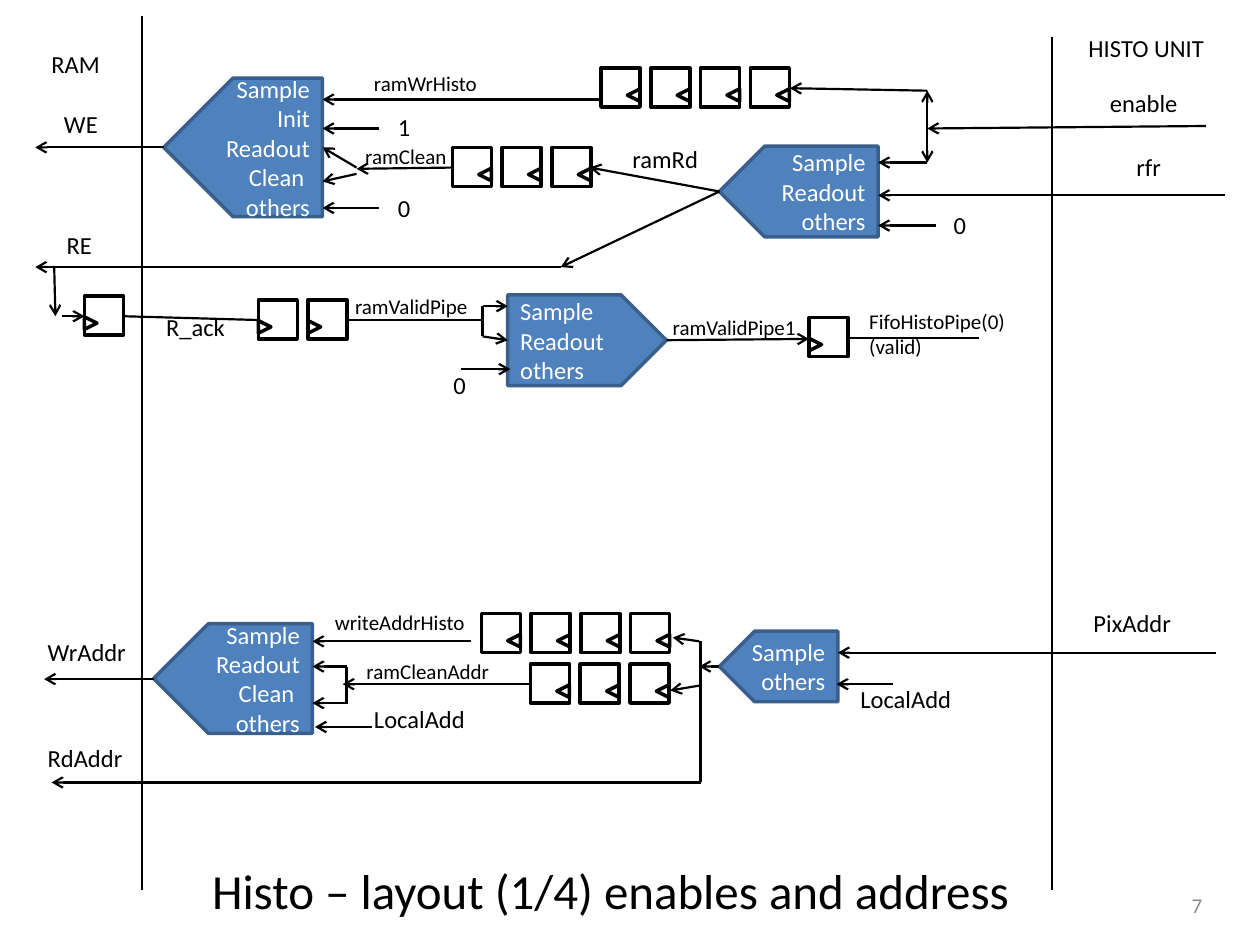
from typing import NamedTuple

from lxml import etree
from pptx import Presentation
from pptx import util as u
from pptx.dml.color import RGBColor
from pptx.enum import shapes, text
from pptx.oxml.ns import qn

FONT = "Calibri"
BLACK, WHITE, GREY = "000000", "FFFFFF", "8C8C8C"
BLUE, DARK_BLUE = "4F81BD", "3A5F8C"
CELL = u.Inches(0.1)  # the slide is a grid of 100 columns by 75 rows
COLS, ROWS = 100, 75
REGISTER, CLOCK, PITCH = 3.1, 1.0, 3.95


class Mux(NamedTuple):
    x: float
    y: float
    w: float
    h: float
    inputs: str
    points_left: bool = True


class RegisterRow(NamedTuple):
    x: float
    y: float
    count: int
    points_left: bool = True


class Wire(NamedTuple):
    x1: float
    y1: float
    x2: float
    y2: float
    arrow: bool = True


class Label(NamedTuple):
    x: float
    y: float
    w: float
    words: str
    size: int = 14


MUXES = [
    Mux(13, 6.2, 12.6, 11, "Sample\nInit\nReadout\nClean \nothers"),
    Mux(57.1, 11.6, 12.6, 7.2, "Sample\nReadout\nothers"),
    Mux(40.3, 23.4, 12.6, 7.2, "Sample\nReadout\nothers", False),
    Mux(57.1, 50.1, 9.4, 5.6, "Sample\nothers"),
    Mux(12.2, 49.5, 12.6, 8.7, "Sample\nReadout\nClean \nothers"),
]
REGISTER_ROWS = [
    RegisterRow(47.7, 5.4, 4),
    RegisterRow(35.9, 11.7, 3),
    RegisterRow(6.7, 23.5, 1, False),
    RegisterRow(20.5, 23.8, 2, False),
    RegisterRow(64.2, 25.2, 1, False),
    RegisterRow(38.2, 48.7, 4),
    RegisterRow(42.1, 52.7, 3),
]
UNIT_BORDERS = [Wire(11.3, 1.3, 11.3, 70.6, False), Wire(83.5, 2.9, 83.5, 70.6, False)]
WRITE_ENABLE = [
    Wire(95.7, 10, 73.6, 10.2), Wire(73.6, 7.2, 62.7, 7),
    Wire(73.6, 9.4, 73.6, 7.2), Wire(73.6, 9.4, 73.6, 12.9),
    Wire(73.6, 12.9, 69.7, 12.9), Wire(97.2, 15.5, 69.7, 15.5),
    Wire(74.3, 17.9, 69.7, 17.9), Wire(47.7, 7.9, 25.6, 7.9),
    Wire(30.1, 10.2, 25.6, 10.2), Wire(30.1, 16.5, 25.6, 16.5),
    Wire(35.9, 13.3, 28.3, 13.4), Wire(28.3, 13.3, 25.6, 11.7),
    Wire(28.3, 13.8, 25.6, 14.4), Wire(13, 11.7, 2.8, 11.7),
]
READ_ENABLE = [
    Wire(57.1, 15.2, 46.8, 13.3), Wire(57.1, 15.2, 44.5, 21.2),
    Wire(44.5, 21.2, 2.8, 21.2), Wire(4.3, 21.1, 4.4, 25.1),
    Wire(4.9, 25.1, 6.7, 25.1), Wire(9.8, 25.1, 20.5, 25.4, False),
    Wire(27.5, 25.4, 38.3, 25.4, False), Wire(38.3, 26.7, 38.3, 24.3, False),
    Wire(38.3, 24.3, 40.3, 24.3), Wire(38.3, 26.7, 40.3, 27),
    Wire(36.6, 29.3, 40.5, 29.3), Wire(52.9, 27, 64.2, 26.9),
    Wire(67.3, 26.8, 77.7, 26.8, False),
]
ADDRESS = [
    Wire(96.5, 51.8, 66.5, 51.8), Wire(70.9, 54.3, 66.4, 54.3),
    Wire(57.1, 52.9, 55.5, 52.9), Wire(55.6, 50.9, 55.6, 62.1, False),
    Wire(55.5, 50.9, 53.4, 50.6), Wire(55.6, 54.4, 53.2, 54.8),
    Wire(55.6, 62.1, 4.1, 62.1), Wire(37.4, 50.9, 24.8, 50.9),
    Wire(42.1, 54.3, 27.2, 54.3), Wire(27.5, 52.9, 27.5, 55.9, False),
    Wire(27.5, 52.9, 24.8, 52.9), Wire(27.5, 55.8, 24.8, 55.8),
    Wire(29.5, 57.7, 25, 57.7), Wire(12.2, 53.9, 3.5, 53.9),
]
LABELS = [
    Label(3.1, 3.4, 5.9, "RAM"), Label(85.4, 2.1, 11.2, "HISTO UNIT"),
    Label(4.1, 8.2, 4.7, "WE"), Label(4.3, 17.8, 4.1, "RE"),
    Label(87.1, 6.5, 7.5, "enable"), Label(89.2, 11.6, 4, "rfr"),
    Label(28.7, 5.1, 10.3, "ramWrHisto", 12), Label(28, 10.9, 8.5, "ramClean", 12),
    Label(30.6, 8.4, 3, "1"), Label(30.6, 14.8, 3, "0"),
    Label(74.7, 16.2, 3, "0"), Label(35, 28.9, 3, "0"),
    Label(49.2, 10.9, 7.3, "ramRd"), Label(12.2, 24.3, 6.7, "R_ack"),
    Label(27.2, 22.8, 11, "ramValidPipe", 12),
    Label(52.4, 24.5, 11.9, "ramValidPipe1", 12),
    Label(68, 24, 12.9, "FifoHistoPipe(0)\n(valid)", 12),
    Label(85.8, 47.8, 8.2, "PixAddr"), Label(67.3, 53.8, 9.3, "LocalAdd"),
    Label(28.7, 55.4, 9.3, "LocalAdd"), Label(2.8, 50.1, 8.3, "WrAddr"),
    Label(2.8, 58.5, 8, "RdAddr"), Label(25.6, 47.9, 12.4, "writeAddrHisto", 12),
    Label(28.1, 51.8, 11.8, "ramCleanAddr", 12),
]


def cells(*counts: float) -> list[int]:
    return [round(n * CELL) for n in counts]


def color(hex_code: str) -> RGBColor:
    return RGBColor.from_string(hex_code)


def write(tf, words: str, size: int, hex_code: str, align=text.PP_ALIGN.LEFT) -> None:
    tf.text = words
    for p in tf.paragraphs:
        p.alignment = align
        for r in p.runs:
            r.font.name = FONT
            r.font.size = u.Pt(size)
            r.font.color.rgb = color(hex_code)


def outline(sp, hex_code: str, width: float) -> None:
    sp.line.color.rgb = color(hex_code)
    sp.line.width = u.Pt(width)


def draw_mux(slide, mux: Mux) -> None:
    sp = slide.shapes.add_shape(
        shapes.MSO_SHAPE.PENTAGON, *cells(mux.x, mux.y, mux.w, mux.h))
    sp.shadow.inherit = False
    sp.fill.solid()
    sp.fill.fore_color.rgb = color(BLUE)
    outline(sp, DARK_BLUE, 2)
    align = text.PP_ALIGN.LEFT
    if mux.points_left:
        sp._element.spPr.xfrm.set("flipH", "1")
        align = text.PP_ALIGN.RIGHT
    sp.text_frame.vertical_anchor = text.MSO_ANCHOR.MIDDLE
    write(sp.text_frame, mux.inputs, 14, WHITE, align)


def draw_registers(slide, row: RegisterRow) -> None:
    """Draw a row of boxes, each with its clock mark at the input side."""
    clock_dx = REGISTER - CLOCK if row.points_left else 0
    for i in range(row.count):
        x = row.x + i * PITCH
        group = slide.shapes.add_group_shape()
        box = group.shapes.add_shape(
            shapes.MSO_SHAPE.RECTANGLE, *cells(x, row.y, REGISTER, REGISTER))
        clock = group.shapes.add_shape(
            shapes.MSO_SHAPE.ISOSCELES_TRIANGLE,
            *cells(x + clock_dx, row.y + 1.65, CLOCK, CLOCK))
        clock.rotation = 270 if row.points_left else 90
        for sp in (box, clock):
            sp.shadow.inherit = False
            sp.fill.background()
            outline(sp, BLACK, 2)


def draw_wire(slide, wire: Wire) -> None:
    line = slide.shapes.add_connector(shapes.MSO_CONNECTOR.STRAIGHT, *cells(*wire[:4]))
    outline(line, BLACK, 1.25)
    if wire.arrow:
        etree.SubElement(line.line._get_or_add_ln(), qn("a:tailEnd"), type="arrow")
    etree.SubElement(line._element.spPr, qn("a:effectLst"))


def draw_label(slide, label: Label) -> None:
    lines = label.words.count("\n") + 1
    height = 1 + lines * (2.4 if label.size == 14 else 2)
    box = slide.shapes.add_textbox(*cells(label.x, label.y, label.w, height))
    box.text_frame.word_wrap = False
    box.text_frame.auto_size = text.MSO_AUTO_SIZE.SHAPE_TO_FIT_TEXT
    write(box.text_frame, label.words, label.size, BLACK)


def draw_title(slide, words: str) -> None:
    title = slide.shapes.title
    title.left, title.top, title.width, title.height = cells(10.6, 67.9, 75.7, 5.4)
    title.text_frame.vertical_anchor = text.MSO_ANCHOR.MIDDLE
    title.text_frame.auto_size = text.MSO_AUTO_SIZE.NONE
    write(title.text_frame, words, 28, BLACK, text.PP_ALIGN.CENTER)


def draw_page_number(slide, number: str) -> None:
    box = slide.shapes.add_textbox(*cells(73.1, 69.8, 23.3, 4))
    box.text_frame.word_wrap = True
    box.text_frame.vertical_anchor = text.MSO_ANCHOR.MIDDLE
    write(box.text_frame, number, 12, GREY, text.PP_ALIGN.RIGHT)


def main() -> None:
    prs = Presentation()
    prs.slide_width, prs.slide_height = cells(COLS, ROWS)
    slide = prs.slides.add_slide(prs.slide_layouts.get_by_name("Title Only"))
    draw_title(slide, "Histo – layout (1/4) enables and address")
    draw_page_number(slide, "7")
    for mux in MUXES:
        draw_mux(slide, mux)
    for row in REGISTER_ROWS:
        draw_registers(slide, row)
    for wire in UNIT_BORDERS + WRITE_ENABLE + READ_ENABLE + ADDRESS:
        draw_wire(slide, wire)
    for label in LABELS:
        draw_label(slide, label)
    prs.save("out.pptx")


if __name__ == "__main__":
    main()
